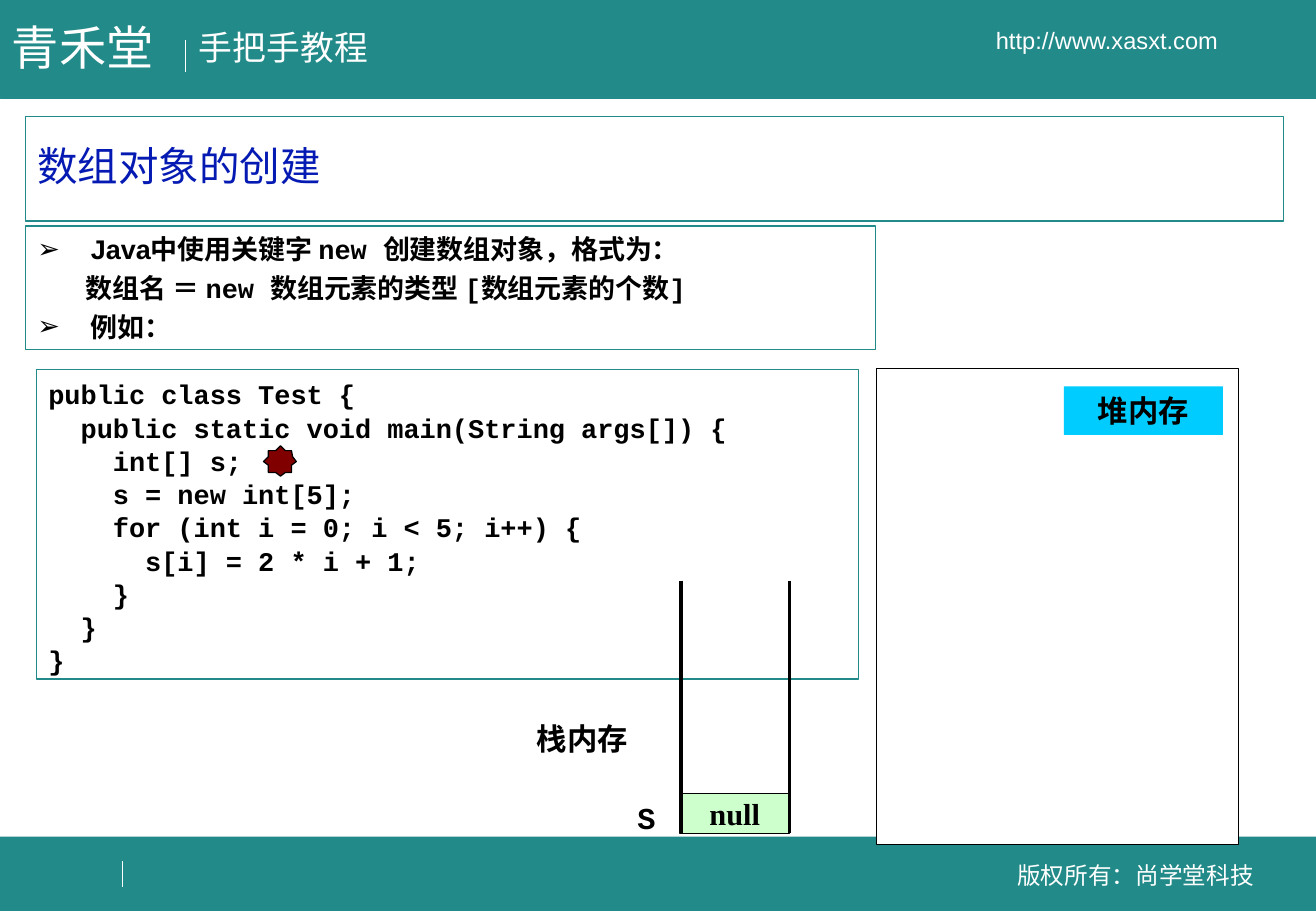
from lxml import etree
from pptx import Presentation
from pptx.dml.color import RGBColor
from pptx.enum.shapes import MSO_CONNECTOR as Conn, MSO_SHAPE as Kind
from pptx.enum.text import MSO_ANCHOR as Anchor, PP_ALIGN as Align
from pptx.oxml.ns import qn
from pptx.util import Pt

TEAL = RGBColor(0x22, 0x8A, 0x88)
WHITE = RGBColor(0xFF, 0xFF, 0xFF)
BLACK = RGBColor(0, 0, 0)
BLUE = RGBColor(0x05, 0x1A, 0xB3)
CYAN = RGBColor(0, 0xCC, 0xFF)
GREEN = RGBColor(0xCC, 0xFF, 0xCC)
MAROON = RGBColor(0x80, 0, 0)

ARIAL, MONO, SERIF = "Arial", "Courier New", "Times New Roman"
HAN = "Noto Sans CJK SC"
WIDE, HIGH = 780.13, 540

BANDS = [(0, 496, WIDE, 44), (0, 0, WIDE, 58.3)]
TICKS = [(110.2, 23.8, 42.5), (72.7, 510.5, 525.6)]
WALLS = [403.9, 468]

HEADS = [
    ("手把手教程", (110.9, 12.2, 116, 31.7), 20, ARIAL, WHITE, False, Align.LEFT),
    ("版权所有：尚学堂科技", (582.5, 506.2, 181.4, 24.5), 14, ARIAL, WHITE, False, Align.CENTER),
    ("http://www.xasxt.com", (532.8, 11.7, 247, 24.5), 14, ARIAL, WHITE, False, Align.CENTER),
    ("青禾堂", (0, 7.2, 102, 41), 28, ARIAL, WHITE, False, Align.LEFT),
]
TITLE = ("数组对象的创建", (15.1, 69.1, 745.9, 61.9), 24, HAN, BLUE, False, Align.LEFT)
HEAP = ("堆内存", (630.7, 229, 94.3, 28.8), 18, SERIF, BLACK, True, Align.CENTER)
NULL = ("null", (403.2, 470.2, 64.8, 23.8), 18, SERIF, BLACK, True, Align.CENTER)
STACK = ("栈内存", (298.1, 423.4, 94.3, 28.8), 18, SERIF, BLACK, True, Align.CENTER)
NAME = ("S", (370.8, 470.2, 25.9, 28.8), 18, MONO, BLACK, True, Align.LEFT)

NOTES = [
    (True, [("Java中使用关键字 ", ARIAL), ("new ", MONO), ("创建数组对象，格式为：", ARIAL)]),
    (False, [("数组名 ＝ new 数组元素的类型 [数组元素的个数]", MONO)]),
    (True, [("例如：", ARIAL)]),
]
CODE = """public class Test {
  public static void main(String args[]) {
    int[] s;
    s = new int[5];
    for (int i = 0; i < 5; i++) {
      s[i] = 2 * i + 1;
    }
  }
}""".split("\n")
STAR = [(217, 380), (221, 383), (221, 389), (227, 389), (231, 392), (235, 389),
        (240, 389), (240, 383), (244, 380), (241, 376), (240, 371), (235, 371),
        (231, 367), (227, 371), (221, 371), (221, 376)]

deck = Presentation()
deck.slide_width, deck.slide_height = Pt(WIDE), Pt(HIGH)
slide = deck.slides.add_slide(deck.slide_layouts[6])
shapes = slide.shapes


def paint(shape, fill=None, edge=None, width=0.75):
    shape.shadow.inherit = False
    if fill is None:
        shape.fill.background()
    else:
        shape.fill.solid()
        shape.fill.fore_color.rgb = fill
    if edge is None:
        shape.line.fill.background()
    else:
        shape.line.color.rgb = edge
        shape.line.width = Pt(width)


def rect(box, fill=None, edge=None, width=0.75):
    shape = shapes.add_shape(Kind.RECTANGLE, *map(Pt, box))
    paint(shape, fill, edge, width)
    return shape


def rule(x, top, end, color, width):
    line = shapes.add_connector(Conn.STRAIGHT, Pt(x), Pt(top), Pt(x), Pt(end))
    line.line.color.rgb = color
    line.line.width = Pt(width)
    etree.SubElement(line._element.spPr, qn("a:effectLst"))


def style(para, size, face, color, bold):
    font = para.font
    font.size, font.bold = Pt(size), bold
    font.color.rgb = color
    if face:
        font.name = face
    etree.SubElement(font._element, qn("a:ea")).set("typeface", HAN)


def frame(shape, top=3.6, anchor=Anchor.TOP, wrap=True):
    text = shape.text_frame
    text.word_wrap = wrap
    text.vertical_anchor = anchor
    text.margin_left = text.margin_right = Pt(7.2)
    text.margin_top, text.margin_bottom = Pt(top), Pt(3.6)
    return text


def label(item, shape=None, pitch=None):
    words, box, size, face, color, bold, align = item
    shape = shape or shapes.add_textbox(*map(Pt, box))
    para = frame(shape, anchor=Anchor.MIDDLE).paragraphs[0]
    para.text, para.alignment = words, align
    para.line_spacing = pitch
    style(para, size, face, color, bold)


def lines(text, count):
    return [text.paragraphs[0]] + [text.add_paragraph() for _ in range(count - 1)]


for band in BANDS:
    rect(band, TEAL, TEAL, 0.25)
for tick in TICKS:
    rule(*tick, WHITE, 0.75)
for head in HEADS:
    label(head)
label(TITLE, rect(TITLE[1], edge=TEAL), 0.9)

body = frame(rect((15.1, 133.9, 504, 73.4), edge=TEAL), top=4.2)
for para, (mark, parts) in zip(lines(body, len(NOTES)), NOTES):
    para.alignment = Align.LEFT
    para.line_spacing, para.space_after = Pt(19), Pt(4)
    props = para._p.get_or_add_pPr()
    props.set("marL", str(Pt(31.7 if mark else 28.7)))
    props.set("indent", str(Pt(-31.7 if mark else 0)))
    if mark:
        tint = etree.SubElement(props, qn("a:buClr"))
        etree.SubElement(tint, qn("a:srgbClr")).set("val", str(BLACK))
        etree.SubElement(props, qn("a:buFont")).set("typeface", ARIAL)
        etree.SubElement(props, qn("a:buChar")).set("char", "➢")
    style(para, 16, None, BLACK, True)
    for words, face in parts:
        run = para.add_run()
        run.text, run.font.name = words, face

code = frame(rect((21.6, 218.9, 487.4, 183.6), WHITE, TEAL), top=4.6)
for para, words in zip(lines(code, len(CODE)), CODE):
    para.text, para.alignment = words, Align.LEFT
    para.line_spacing = Pt(19.7)
    style(para, 16, MONO, BLACK, True)

rect((519.8, 218.2, 214.6, 282.2), WHITE, BLACK)
label(HEAP, rect(HEAP[1], CYAN))
label(NULL, rect(NULL[1], GREEN, BLACK))
for wall in WALLS:
    rule(wall, 344.2, 493.9, BLACK, 2.25)
label(STACK)

burst = shapes.build_freeform(*STAR[0], scale=Pt(0.72))
burst.add_line_segments(STAR[1:], close=True)
paint(burst.convert_to_shape(), MAROON, BLACK)
label(NAME)

deck.save("out.pptx")
